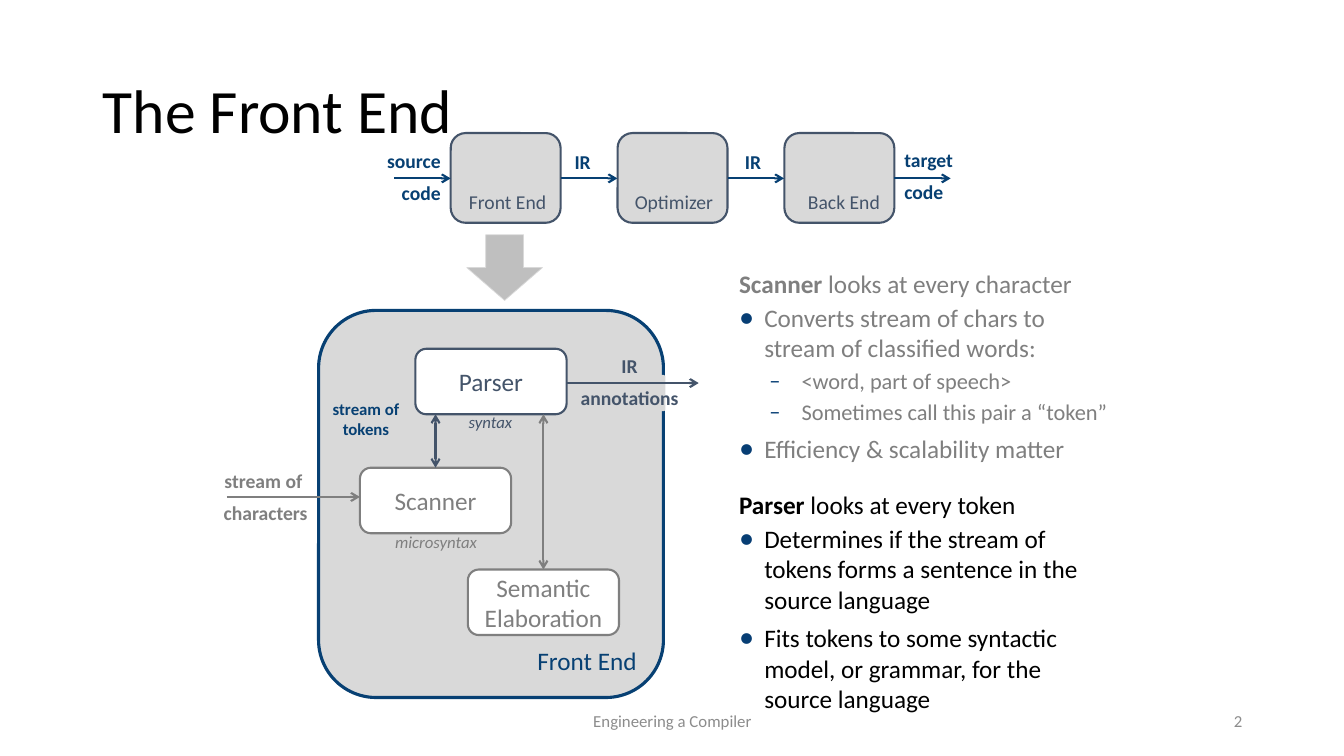
"""Build the slide on the front end of a compiler."""
from lxml.etree import SubElement
from pptx import Presentation
from pptx.dml.color import RGBColor
from pptx.enum.shapes import MSO_CONNECTOR as CONNECTOR, MSO_SHAPE as SHAPE
from pptx.enum.text import MSO_ANCHOR as ANCHOR, MSO_AUTO_SIZE as AUTO_SIZE, PP_ALIGN as ALIGN
from pptx.oxml.ns import qn
from pptx.util import Inches, Pt

NAVY = RGBColor(0x07, 0x40, 0x73)
BULLET = RGBColor(0x07, 0x3E, 0x74)
SLATE = RGBColor(0x44, 0x54, 0x6A)
GRAY = RGBColor(0x7F, 0x7F, 0x7F)
FOOTER = RGBColor(0x8C, 0x8C, 0x8C)
PANEL = RGBColor(0xD9, 0xD9, 0xD9)
ARROW = RGBColor(0xBF, 0xBF, 0xBF)
BLACK = RGBColor(0, 0, 0)
WHITE = RGBColor(255, 255, 255)


def write(frame, text, size, color, align, anchor=ANCHOR.TOP, bold=False, italic=False, gap=0):
    frame.word_wrap = True
    frame.vertical_anchor = anchor
    frame.text = text
    for index, paragraph in enumerate(frame.paragraphs):
        paragraph.alignment = align
        paragraph.space_before = Pt(gap if index else 0)
        font = paragraph.font
        font.name, font.size, font.bold, font.italic = "Calibri", Pt(size), bold, italic
        font.color.rgb = color


def style_line(drawn, color, width, **ends):
    drawn.line.color.rgb = color
    drawn.line.width = Pt(width)
    properties = drawn._element.spPr
    outline = properties.find(qn("a:ln"))
    for end, kind in ends.items():
        SubElement(outline, qn(f"a:{end}"), type=kind)
    if properties.find(qn("a:effectLst")) is None:
        SubElement(properties, qn("a:effectLst"))


deck = Presentation()
deck.slide_width, deck.slide_height = Inches(13.33), Inches(7.5)
slide = deck.slides.add_slide(deck.slide_layouts[1])
shapes = slide.shapes

title = shapes.title
title.left, title.top, title.width, title.height = map(Inches, (0.92, 0.4, 11.5, 1.45))
write(title.text_frame, "The Front End", 44, BLACK, ALIGN.LEFT, ANCHOR.MIDDLE)
title.text_frame.paragraphs[0].line_spacing = 0.9

notes_on_stages = slide.placeholders[1]
notes_on_stages.left, notes_on_stages.top = Inches(7.23), Inches(2.61)
notes_on_stages.width, notes_on_stages.height = Inches(3.89), Inches(4.64)
stage_frame = notes_on_stages.text_frame
stage_frame.auto_size = AUTO_SIZE.NONE
stage_lines = [
    ("", "Scanner| looks at every character", GRAY, 6),
    ("•", "Converts stream of chars to stream of classified words:", GRAY, 3),
    ("–", "<word, part of speech>", GRAY, 3),
    ("–", "Sometimes call this pair a “token”", GRAY, 3),
    ("•", "Efficiency & scalability matter", GRAY, 6),
    ("", "Parser| looks at every token", BLACK, 18),
    ("•", "Determines if the stream of tokens forms a sentence in the source language", BLACK, 3),
    ("•", "Fits tokens to some syntactic model, or grammar, for the source language", BLACK, 6),
]
for index, (bullet, text, color, gap) in enumerate(stage_lines):
    paragraph = stage_frame.add_paragraph() if index else stage_frame.paragraphs[0]
    nested = bullet == "–"
    paragraph.level = int(nested)
    paragraph.space_before = Pt(gap)
    properties = paragraph._p.get_or_add_pPr()
    properties.set("marL", str(Inches(0.62 if nested else 0.25)))
    properties.set("indent", str(Inches(-0.32 if nested else -0.25)))
    if bullet:
        bullet_color = SubElement(properties, qn("a:buClr"))
        SubElement(bullet_color, qn("a:srgbClr"), val=str(BULLET))
        SubElement(properties, qn("a:buSzPct"), val="100000" if nested else "120000")
        SubElement(properties, qn("a:buFont"), typeface="Calibri")
        SubElement(properties, qn("a:buChar"), char=bullet)
    else:
        SubElement(properties, qn("a:buNone"))
    paragraph.font.name = "Calibri"
    paragraph.font.size = Pt(16 if nested else 18)
    paragraph.font.color.rgb = color
    parts = text.split("|")
    for part in parts:
        run = paragraph.add_run()
        run.text = part
        if len(parts) > 1:
            run.font.bold = part == parts[0]

blocks = [
    (4.47 + 1.655 * step, 1.32, 1.09, 0.89, name, 14, PANEL, SLATE, 1.5, ALIGN.RIGHT, ANCHOR.BOTTOM)
    for step, name in enumerate(("Front End", "Optimizer", "Back End"))
]
blocks.append((3.16, 3.08, 3.42, 3.84, "Front End", 18, PANEL, NAVY, 2.25, ALIGN.RIGHT, ANCHOR.BOTTOM))
blocks += [
    (left, top, 1.5, 0.65, name, 18, WHITE, color, 1.5, ALIGN.CENTER, ANCHOR.MIDDLE)
    for left, top, name, color in (
        (3.57, 4.64, "Scanner", GRAY),
        (4.12, 3.46, "Parser", SLATE),
        (4.64, 5.65, "Semantic Elaboration", GRAY),
    )
]
for left, top, width, height, name, size, fill, color, weight, align, anchor in blocks:
    block = shapes.add_shape(SHAPE.ROUNDED_RECTANGLE, *map(Inches, (left, top, width, height)))
    block.shadow.inherit = False
    block.fill.solid()
    block.fill.fore_color.rgb = fill
    style_line(block, color, weight)
    write(block.text_frame, name, size, color, align, anchor)

zoom_arrow = shapes.add_shape(SHAPE.DOWN_ARROW, *map(Inches, (4.63, 2.33, 0.75, 0.65)))
zoom_arrow.shadow.inherit = False
zoom_arrow.fill.solid()
zoom_arrow.fill.fore_color.rgb = ARROW
style_line(zoom_arrow, PANEL, 0.5)

border_gap = shapes.add_shape(SHAPE.ROUNDED_RECTANGLE, *map(Inches, (6.48, 3.72, 0.12, 0.36)))
border_gap.shadow.inherit = False
border_gap.fill.solid()
border_gap.fill.fore_color.rgb = PANEL
border_gap.line.fill.background()

flow = dict(bold=True, gap=6)
labels = [
    (5.6, 1.44, 0.4, 0.34, "IR", 14, NAVY, ALIGN.LEFT, flow),
    (7.29, 1.44, 0.4, 0.34, "IR", 14, NAVY, ALIGN.LEFT, flow),
    (3.65, 1.43, 0.82, 0.66, "source\ncode", 14, NAVY, ALIGN.RIGHT, flow),
    (8.87, 1.42, 0.82, 0.66, "target\ncode", 14, NAVY, ALIGN.LEFT, flow),
    (2.08, 4.6, 1.11, 0.66, "stream of \ncharacters", 14, GRAY, ALIGN.CENTER, flow),
    (5.61, 3.46, 1.27, 0.66, "IR\nannotations", 14, SLATE, ALIGN.CENTER, flow),
    (3.09, 3.91, 1.08, 0.5, "stream of\ntokens", 12, NAVY, ALIGN.CENTER, dict(bold=True)),
    (3.59, 5.23, 1.47, 0.3, "microsyntax", 12, GRAY, ALIGN.CENTER, dict(italic=True)),
    (4.13, 4.04, 1.47, 0.3, "syntax", 12, SLATE, ALIGN.CENTER, dict(italic=True)),
    (4.42, 6.95, 4.5, 0.4, "Engineering a Compiler", 12, FOOTER, ALIGN.CENTER, dict(anchor=ANCHOR.MIDDLE)),
    (9.42, 6.95, 3, 0.4, "2", 12, FOOTER, ALIGN.RIGHT, dict(anchor=ANCHOR.MIDDLE)),
]
for left, top, width, height, text, size, color, align, options in labels:
    label = shapes.add_textbox(*map(Inches, (left, top, width, height)))
    write(label.text_frame, text, size, color, align, **options)

one_way = dict(tailEnd="arrow")
two_way = dict(headEnd="arrow", tailEnd="arrow")
arrows = [(3.91 + 1.653 * step, 1.77, 4.47 + 1.653 * step, 1.77, NAVY, one_way) for step in range(4)]
arrows += [
    (2.25, 4.93, 3.57, 4.93, GRAY, one_way),
    (5.62, 3.8, 6.93, 3.8, SLATE, one_way),
    (4.32, 4.11, 4.32, 4.64, SLATE, two_way),
    (5.39, 5.65, 5.39, 4.11, GRAY, two_way),
]
for x1, y1, x2, y2, color, ends in arrows:
    arrow = shapes.add_connector(CONNECTOR.STRAIGHT, *map(Inches, (x1, y1, x2, y2)))
    style_line(arrow, color, 1.5, **ends)

squiggle_curves = [
    ((3.95, 4.26), (4.04, 4.29), (4.13, 4.31), (4.15, 4.32)),
    ((4.15, 4.32), (4.17, 4.34), (4.05, 4.36), (4.07, 4.37)),
    ((4.07, 4.37), (4.09, 4.39), (4.27, 4.41), (4.27, 4.41)),
]
squiggle_points = []
for curve in squiggle_curves:
    for t in (0.25, 0.5, 0.75, 1):
        weights = ((1 - t) ** 3, 3 * t * (1 - t) ** 2, 3 * t * t * (1 - t), t ** 3)
        squiggle_points.append(tuple(sum(w * p[axis] for w, p in zip(weights, curve)) for axis in (0, 1)))
builder = shapes.build_freeform(3.95, 4.26, scale=Inches(1))
builder.add_line_segments(squiggle_points, close=False)
squiggle = builder.convert_to_shape()
squiggle.shadow.inherit = False
squiggle.fill.background()
style_line(squiggle, SLATE, 1, tailEnd="triangle")

deck.save("out.pptx")
